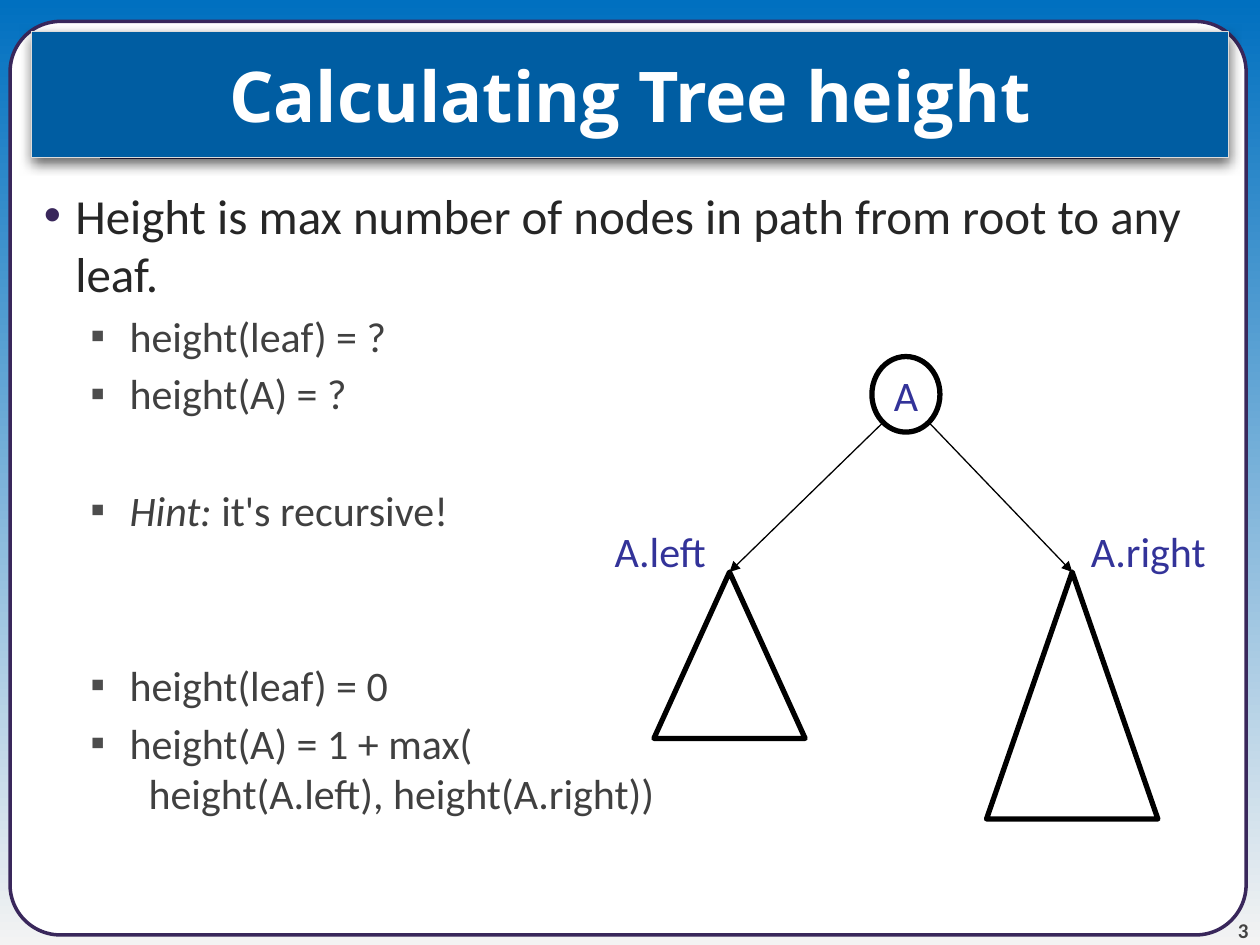
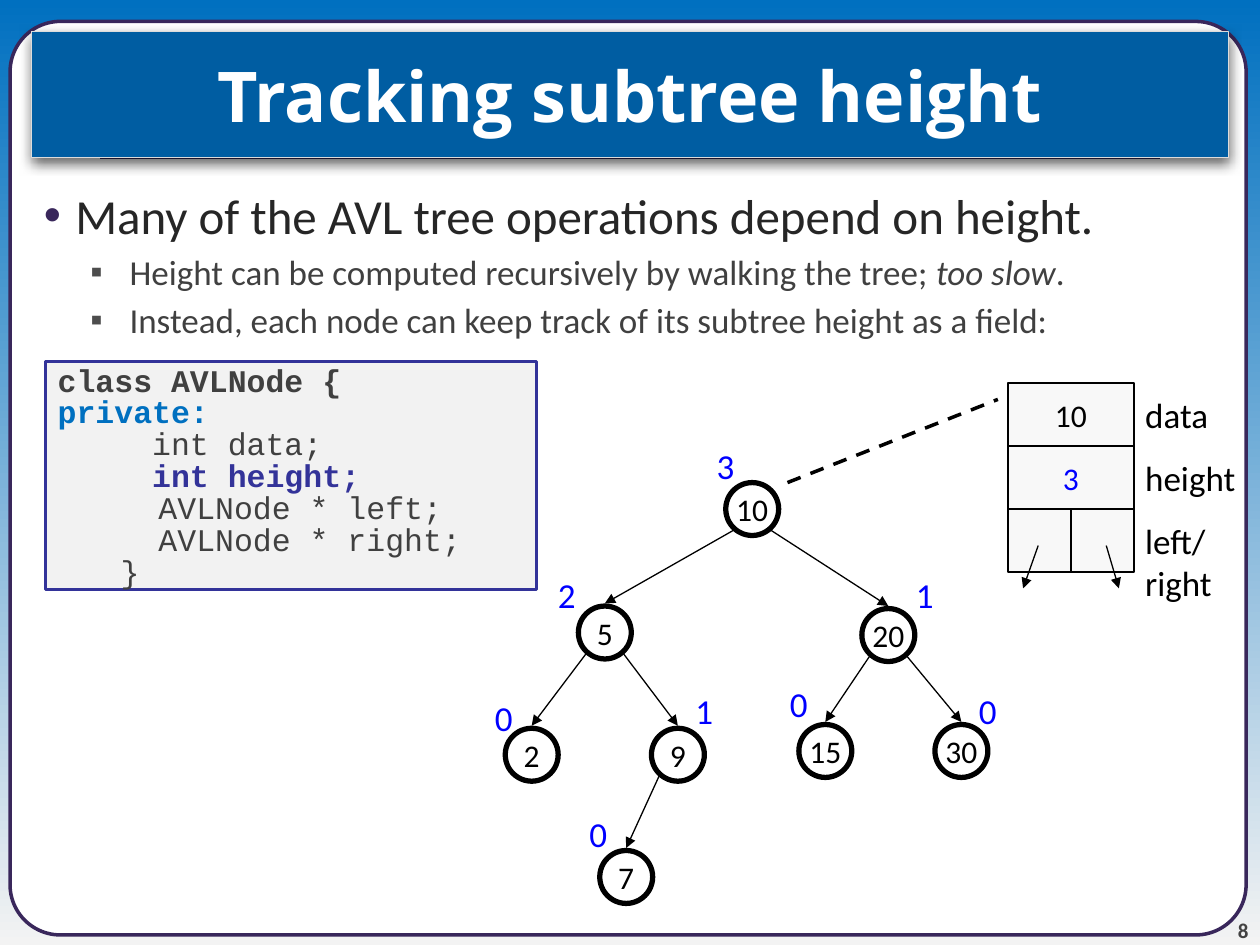
"""Build two slides on tree height: the recursive rule and height kept in nodes."""
from lxml import etree
from pptx import Presentation
from pptx.dml.color import RGBColor
from pptx.enum.dml import MSO_LINE
from pptx.enum.shapes import MSO_CONNECTOR, MSO_SHAPE
from pptx.enum.text import MSO_ANCHOR, MSO_AUTO_SIZE, PP_ALIGN
from pptx.oxml.ns import qn
from pptx.util import Inches, Pt

COLORS = {
    "sky": "0070C0", "mist": "F3F3F3", "band": "005DA2", "band_edge": "DCDCDC",
    "purple": "39275B", "white": "FFFFFF", "black": "000000", "number": "424242",
    "body": "262626", "detail": "404040", "square": "4D4D4D", "indigo": "333399",
    "height": "0000FF", "field": "F8F8F8", "code": "F2F2F2",
}
STRAIGHT = MSO_CONNECTOR.STRAIGHT
RECTANGLE, ROUNDED = MSO_SHAPE.RECTANGLE, MSO_SHAPE.ROUNDED_RECTANGLE
OVAL, TRIANGLE = MSO_SHAPE.OVAL, MSO_SHAPE.ISOSCELES_TRIANGLE
TOP, MIDDLE, BOTTOM = MSO_ANCHOR.TOP, MSO_ANCHOR.MIDDLE, MSO_ANCHOR.BOTTOM
LEFT, CENTER, RIGHT = PP_ALIGN.LEFT, PP_ALIGN.CENTER, PP_ALIGN.RIGHT
DASH, FIXED = MSO_LINE.DASH, MSO_AUTO_SIZE.NONE

BULLETS = [
    {"char": "•", "color": "purple", "left": 0.5, "hang": -0.25},
    {"char": "▪", "color": "square", "left": 0.93, "hang": -0.31},
]
TITLE = {"size": 40, "name": "Open Sans", "bold": True, "color": "white"}
LEAD = {"size": 28, "color": "body"}
LABEL = {"size": 24, "color": "indigo"}
VALUE = {"size": 18}
NODE_SIZE = 0.42
DIAGONAL = 0.354
ARROW_GAP = 0.02


def rgb(name):
    return RGBColor.from_string(COLORS[name])


def add_xml(parent, tag, **attributes):
    return etree.SubElement(parent, qn(tag), attributes)


def add_span(para, text, size=18, name="Calibri", color="black", **flags):
    for index, line in enumerate(text.split("\n")):
        if index:
            para.add_line_break()
        span = para.add_run()
        span.text = line
        values = {"size": Pt(size), "name": name, **flags}
        for attribute, value in values.items():
            setattr(span.font, attribute, value)
        span.font.color.rgb = rgb(color)


def set_frame(box, anchor=TOP, wrap=True, inset=None):
    frame = box.text_frame
    values = {"auto_size": FIXED, "word_wrap": wrap, "vertical_anchor": anchor}
    if inset is not None:
        for side in ("left", "top", "right", "bottom"):
            values[f"margin_{side}"] = Inches(inset)
    for attribute, value in values.items():
        setattr(frame, attribute, value)
    return frame


def set_look(shape, fill=None, line="black", width=0.75):
    if fill:
        shape.fill.solid()
        shape.fill.fore_color.rgb = rgb(fill)
    else:
        shape.fill.background()
    shape.line.color.rgb = rgb(line)
    shape.line.width = Pt(width)


def add_label(page, place, text, align=LEFT, anchor=TOP, wrap=False, inset=None, **font):
    box = page.shapes.add_textbox(*map(Inches, place))
    para = set_frame(box, anchor, wrap, inset).paragraphs[0]
    para.alignment = align
    add_span(para, text, **font)


def add_figure(page, kind, place, text="", font=VALUE, **look):
    shape = page.shapes.add_shape(kind, *map(Inches, place))
    shape.shadow.inherit = False
    set_look(shape, **look)
    if text:
        para = set_frame(shape, MIDDLE, False, 0).paragraphs[0]
        para.alignment = CENTER
        add_span(para, text, **font)
    return shape


def add_line(page, start, end, width=0.75, color="black", dash=None, arrow=False):
    connector = page.shapes.add_connector(STRAIGHT, *map(Inches, (*start, *end)))
    connector.line.color.rgb = rgb(color)
    connector.line.width = Pt(width)
    if dash:
        connector.line.dash_style = dash
    properties = connector.element.spPr
    if arrow:
        add_xml(properties.find(qn("a:ln")), "a:tailEnd", type="triangle")
    add_xml(properties, "a:effectLst")
    return connector


def add_branch(page, parent, tip):
    """Draw an arrow from the lower diagonal of a round parent to a child's tip."""
    left, top, width, height = parent
    center = left + width / 2
    side = 1 if tip[0] > center else -1
    start = (center + side * DIAGONAL * width,
             top + (0.5 + DIAGONAL) * height + ARROW_GAP)
    return add_line(page, start, (tip[0], tip[1] - ARROW_GAP), arrow=True)


def add_title(page, text):
    title = page.shapes.title
    places = {"left": 0.25, "top": 0.25, "width": 9.5, "height": 1}
    for attribute, value in places.items():
        setattr(title, attribute, Inches(value))
    set_look(title, "band", "band_edge")
    effects = add_xml(title.element.spPr, "a:effectLst")
    shadow = add_xml(effects, "a:outerShdw", blurRad=str(Inches(0.1)),
                     dist=str(Inches(0.04)), dir="5400000", rotWithShape="0")
    shade = add_xml(shadow, "a:srgbClr", val=COLORS["black"])
    add_xml(shade, "a:alpha", val="60000")
    para = set_frame(title, MIDDLE).paragraphs[0]
    para.alignment = CENTER
    add_span(para, text, **TITLE)
    title.element.getparent().append(title.element)


def add_page(deck, title, number):
    page = deck.slides.add_slide(deck.slide_layouts[5])
    backdrop = page.background.fill
    backdrop.gradient()
    backdrop.gradient_angle = 270
    for stop, position, color in zip(backdrop.gradient_stops, (0, 1), ("sky", "mist")):
        stop.position = position
        stop.color.rgb = rgb(color)
    panel = add_figure(page, ROUNDED, (0.08, 0.17, 9.81, 7.25),
                       fill="white", line="purple", width=2)
    panel.adjustments[0] = 0.055
    add_label(page, (9.08, 7.08, 0.83, 0.4), number, RIGHT, BOTTOM, True, 0,
              size=12, bold=True, color="number")
    add_line(page, (0.79, 1.25), (9.21, 1.25), 2.25, "purple")
    add_title(page, title)
    return page


def add_bullets(page, items):
    """Write (level, space before, spans) items as bulleted paragraphs."""
    box = page.shapes.add_textbox(0, Inches(1.42), Inches(10), Inches(6.08))
    frame = set_frame(box)
    for index, (level, space, spans) in enumerate(items):
        para = frame.add_paragraph() if index else frame.paragraphs[0]
        bullet = BULLETS[level]
        para.level = level
        properties = para._p.get_or_add_pPr()
        properties.set("marL", str(Inches(bullet["left"])))
        properties.set("indent", str(Inches(bullet["hang"])))
        tint = add_xml(properties, "a:buClr")
        add_xml(tint, "a:srgbClr", val=COLORS[bullet["color"]])
        add_xml(properties, "a:buFont", typeface="Arial")
        add_xml(properties, "a:buChar", char=bullet["char"])
        if index:
            para.space_before = Pt(space)
        for text, font in spans:
            add_span(para, text, **font)


def add_code(page, place, lines):
    """Write (indent, text, colour, bold) code lines in a framed box."""
    box = page.shapes.add_textbox(*map(Inches, place))
    set_look(box, "code", "indigo", 1.5)
    frame = set_frame(box)
    for index, (indent, text, color, bold) in enumerate(lines):
        para = frame.add_paragraph() if index else frame.paragraphs[0]
        para.line_spacing = 0.8
        para._p.get_or_add_pPr().set("marL", str(Inches(indent)))
        if index:
            para.space_before = Pt(0.9)
        add_span(para, text, 18, "Courier New", color, bold=bold)


def build_height_page(deck):
    page = add_page(deck, "Calculating Tree height", "3")
    detail = {"size": 24, "color": "detail"}
    gap, row = 4.2, 33.5
    add_bullets(page, [
        (0, 0, [("Height is max number of nodes in path from root to any leaf.", LEAD)]),
        (1, gap, [("height(leaf) = ?", detail)]),
        (1, gap, [("height(A) = ?", detail)]),
        (1, gap + row, [("Hint:", {**detail, "italic": True}),
                        (" it's recursive!", detail)]),
        (1, gap + 2 * row, [("height(leaf) = 0", detail)]),
        (1, gap, [("height(A) = 1 + max(\n  height(A.left), height(A.right))", detail)]),
    ])
    root = (6.92, 2.83, 0.54, 0.6)
    add_figure(page, OVAL, root, "A", LABEL, width=3)
    for left, width, height in ((5.19, 1.2, 1.32), (7.83, 1.36, 1.96)):
        subtree = add_figure(page, TRIANGLE, (left, 4.54, width, height), width=3)
        branch = add_branch(page, root, (left + width / 2, 4.54))
        branch.end_connect(subtree, 0)
    add_label(page, (4.58, 4.12, 1.12, 0.5), "A.left", RIGHT, wrap=True, **LABEL)
    add_label(page, (8.56, 4.12, 1.19, 0.5), "A.right", wrap=True, **LABEL)


def add_avl_tree(page):
    """Draw nodes given as key: (left, top, parent, height, label left, label top)."""
    nodes = {
        "10": (5.76, 3.83, None, "3", 5.59, 3.48),
        "5": (4.59, 4.81, "10", "2", 4.33, 4.5),
        "20": (6.84, 4.83, "10", "1", 7.17, 4.5),
        "2": (4.01, 5.78, "5", "0", 3.83, 5.48),
        "9": (5.17, 5.78, "5", "1", 5.42, 5.42),
        "15": (6.34, 5.75, "20", "0", 6.17, 5.37),
        "30": (7.42, 5.75, "20", "0", 7.67, 5.42),
        "7": (4.76, 6.75, "9", "0", 4.58, 6.4),
    }
    for key, (left, top, parent, height, label_left, label_top) in nodes.items():
        add_figure(page, OVAL, (left, top, NODE_SIZE, NODE_SIZE), key, width=3,
                   fill=None if parent else "white")
        if parent:
            add_branch(page, (*nodes[parent][:2], NODE_SIZE, NODE_SIZE),
                       (left + NODE_SIZE / 2, top))
        add_label(page, (label_left, label_top, 0.34, 0.44), height,
                  size=20, color="height")


def add_node_record(page):
    left, top, row = 8, 3.04, 0.5
    add_figure(page, RECTANGLE, (left, top, 1, row), "10", fill="field")
    add_figure(page, RECTANGLE, (left, top + row, 1, row), "3",
               {**VALUE, "color": "height"}, fill="field")
    for column, start, end in ((0, 8.24, 8.12), (1, 8.78, 8.88)):
        add_figure(page, RECTANGLE, (left + column * row, top + 2 * row, row, row),
                   fill="field")
        add_line(page, (start, 4.33), (end, 4.67), arrow=True)
    fields = (("data", 0.71, 0.43), ("height", 0.92, 0.43), ("left/\nright", 0.73, 0.77))
    for index, (name, width, height) in enumerate(fields):
        add_label(page, (8.99, 3.07 + index * row, width, height), name, size=20)
    add_line(page, (6.25, 3.83), (7.92, 3.17), 2, dash=DASH)


def build_tracking_page(deck):
    page = add_page(deck, "Tracking subtree height", "8")
    detail = {"size": 20, "color": "detail"}
    add_bullets(page, [
        (0, 0, [("Many of the AVL tree operations depend on height.", LEAD)]),
        (1, 3.6, [("Height can be computed recursively by walking the tree; ", detail),
                  ("too slow", {**detail, "italic": True}), (".", detail)]),
        (1, 3.6, [("Instead, each node can keep track of its subtree height as a field:",
                   detail)]),
    ])
    add_avl_tree(page)
    add_node_record(page)
    add_code(page, (0.36, 2.87, 3.9, 1.81), [
        (0, "class AVLNode {", "detail", True),
        (0, "private:", "sky", True),
        (0, "     int data;", "detail", False),
        (0, "     int height;", "indigo", True),
        (0.5, "  AVLNode * left;", "detail", False),
        (0.5, "  AVLNode * right;", "detail", False),
        (0.5, "}", "detail", False),
    ])


def main():
    deck = Presentation()
    deck.slide_width, deck.slide_height = Inches(10), Inches(7.5)
    build_height_page(deck)
    build_tracking_page(deck)
    deck.save("out.pptx")


if __name__ == "__main__":
    main()
